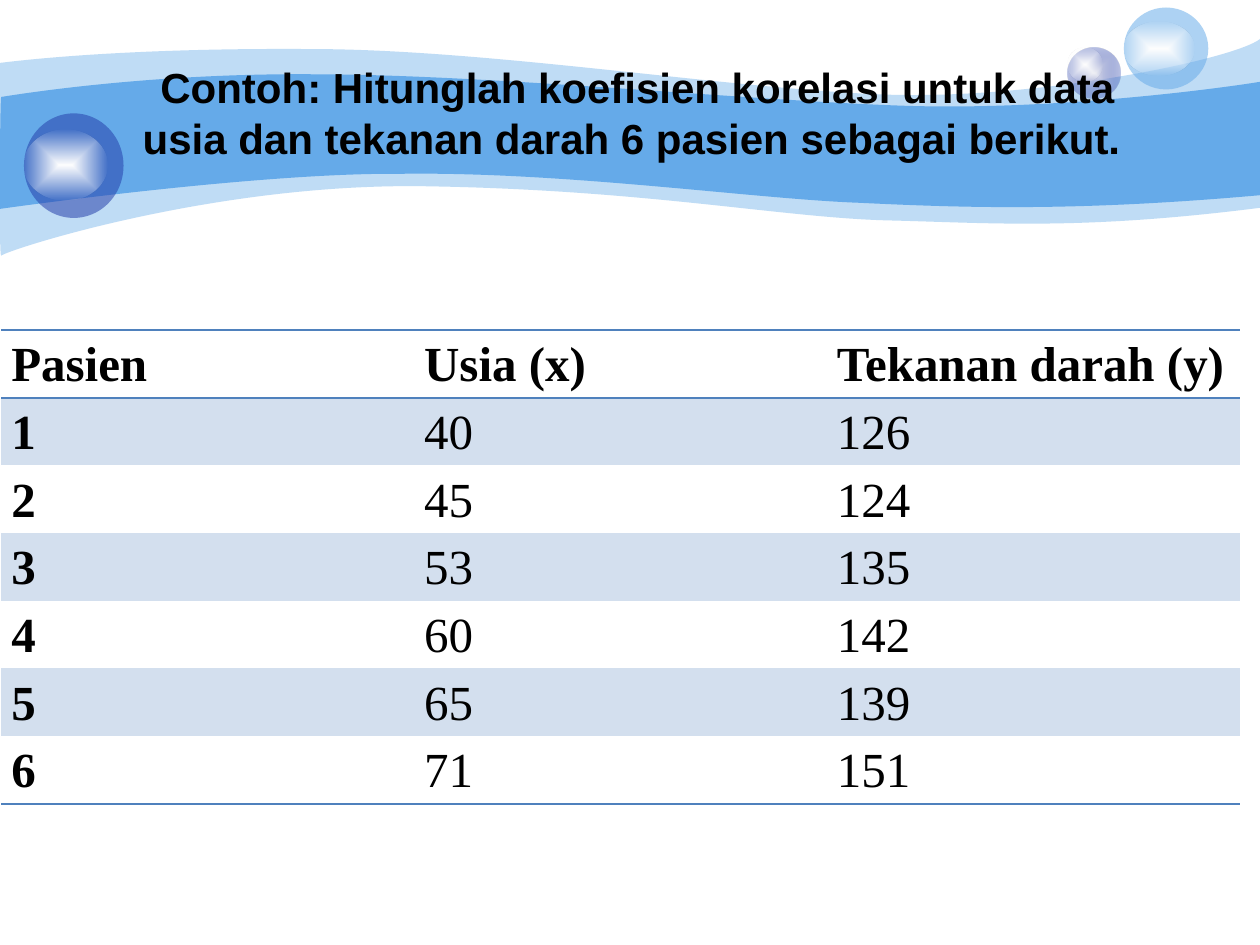
from dataclasses import dataclass

from lxml import etree
from pptx import Presentation, oxml
from pptx.dml.color import RGBColor
from pptx.enum import shapes, text
from pptx.oxml import ns
from pptx.util import Inches, Pt


@dataclass(frozen=True)
class Theme:
    """Colours, fonts and type sizes of the slide."""
    sky: str = "65AAE9"
    navy: str = "233DA9"
    mist: str = "E1E2ED"
    white: str = "FFFFFF"
    band: str = "D3DFEE"
    rule: str = "4F81BD"
    ink: str = "000000"
    head: str = "Arial"
    body: str = "Times New Roman"
    head_size: int = 24
    body_size: int = 28


T = Theme()
TITLE = "Contoh: Hitunglah koefisien korelasi untuk data usia dan tekanan darah 6 pasien sebagai berikut. "
ROWS = [
    ("Pasien", "Usia (x)", "Tekanan darah (y)"),
    (1, 40, 126), (2, 45, 124), (3, 53, 135),
    (4, 60, 142), (5, 65, 139), (6, 71, 151),
]
PALE = [
    (0, 0.5), (0.24, 0.47, 1.07, 0.38, 2.47, 0.39), (3.86, 0.39, 5.75, 0.7, 6.99, 0.75),
    (8.22, 0.8, 9.8, 0.47, 10, 0.31), (10, 1.65), (8.58, 1.83, 7.87, 1.77, 7.05, 1.75),
    (6.22, 1.73, 5.15, 1.51, 3.43, 1.48), (1.72, 1.44, 0.04, 1.99, 0.01, 2.03),
    (-0.01, 2.08, 0, 0.75, 0, 0.5),
]
DEEP = [
    (0.01, 0.77), (0.02, 0.77, 1.1, 0.58, 2.48, 0.59), (3.86, 0.59, 5.95, 0.8, 7.18, 0.84),
    (8.41, 0.88, 9.76, 0.69, 10, 0.65), (10, 1.55), (8.53, 1.68, 7.65, 1.65, 6.82, 1.61),
    (5.99, 1.58, 4.47, 1.36, 3.17, 1.38), (2.03, 1.37, -0.02, 1.66, -0.01, 1.66),
    (0, 1.66, 0, 0.77, 0.01, 0.77),
]


def tint(hue, alpha=100):
    """Return the XML of a colour with its opacity in percent."""
    return f'<a:srgbClr val="{hue}"><a:alpha val="{alpha * 1000}"/></a:srgbClr>'


def paint(shape, hue, alpha=100):
    """Fill a shape with one colour and drop its line and shadow."""
    shape.shadow.inherit = False
    shape.line.fill.background()
    shape.fill.solid()
    shape.fill.fore_color.rgb = RGBColor.from_string(hue)
    if alpha < 100:
        clr = shape._element.spPr.find(".//" + ns.qn("a:srgbClr"))
        clr.append(oxml.parse_xml(f'<a:alpha {ns.nsdecls("a")} val="{alpha * 1000}"/>'))


def glow(shape, core, rim, alpha):
    """Fill a shape with a gradient from its core to its rim."""
    paint(shape, core)
    old = shape._element.spPr.find(ns.qn("a:solidFill"))
    new = oxml.parse_xml(
        f'<a:gradFill {ns.nsdecls("a")} rotWithShape="1"><a:gsLst>'
        f'<a:gs pos="0">{tint(core)}</a:gs><a:gs pos="100000">{tint(rim, alpha)}</a:gs>'
        '</a:gsLst><a:path path="shape">'
        '<a:fillToRect l="50000" t="50000" r="50000" b="50000"/></a:path></a:gradFill>')
    old.getparent().replace(old, new)


def wave(slide, steps, alpha=100):
    """Draw one wave of the banner, joining each six-number step into a curve."""
    first, *rest = [(Inches(s[i]), Inches(s[i + 1])) for s in steps for i in range(0, len(s), 2)]
    form = slide.shapes.build_freeform(*first, scale=1.0)
    form.add_line_segments(rest, close=True)
    shape = form.convert_to_shape()
    lines = iter(shape._element.spPr.findall(".//" + ns.qn("a:lnTo")))
    for step in steps[1:]:
        line = next(lines)
        if len(step) == 6:
            bend = etree.Element(ns.qn("a:cubicBezTo"))
            line.addprevious(bend)
            for part in (line, next(lines), next(lines)):
                bend.append(part[0])
                part.getparent().remove(part)
    paint(shape, T.sky, alpha)


def oval(group, box):
    """Add an ellipse in the given box."""
    return group.shapes.add_shape(shapes.MSO_SHAPE.OVAL, *map(Inches, box))


def bubble(slide, box, shine, hue, alpha, core=None):
    """Draw a ball in its box with a shine on it."""
    group = slide.shapes.add_group_shape()
    ball = oval(group, box)
    if core:
        glow(ball, core, hue, alpha)
    else:
        paint(ball, hue, alpha)
    glow(oval(group, shine), T.white, T.white, 0)


def banner(slide):
    """Draw the waves and the bubbles."""
    wave(slide, PALE, 41)
    wave(slide, DEEP)
    bubble(slide, (8.47, 0.38, 0.42, 0.4), (8.47, 0.38, 0.28, 0.27), T.navy, 31, T.mist)
    bubble(slide, (8.92, 0.06, 0.67, 0.65), (8.92, 0.17, 0.56, 0.43), T.sky, 53)
    bubble(slide, (0.19, 0.9, 0.79, 0.83), (0.19, 1.03, 0.66, 0.56), T.navy, 53)


def style(para, face, size, bold):
    """Format the runs of a paragraph."""
    for run in para.runs:
        run.font.name = face
        run.font.size = Pt(size)
        run.font.bold = bold
        run.font.color.rgb = RGBColor.from_string(T.ink)


def title(slide, box):
    """Write the title, raised a little within its box."""
    frame = slide.shapes.add_textbox(*map(Inches, box)).text_frame
    frame.word_wrap = True
    frame.vertical_anchor = text.MSO_ANCHOR.MIDDLE
    frame.margin_bottom = Inches(0.45)
    frame.text = TITLE
    para = frame.paragraphs[0]
    para.alignment = text.PP_ALIGN.CENTER
    style(para, T.head, T.head_size, True)


def edge(cell, sides):
    """Rule the named sides of a cell and clear the others."""
    props = cell._tc.get_or_add_tcPr()
    for i, side in enumerate("LRTB"):
        fill = f"<a:solidFill>{tint(T.rule)}</a:solidFill>" if side in sides else "<a:noFill/>"
        props.insert(i, oxml.parse_xml(
            f'<a:ln{side} {ns.nsdecls("a")} w="12700">{fill}</a:ln{side}>'))


def table(slide, box):
    """Build the patient table with banded rows that grow to fit their text."""
    frame = slide.shapes.add_table(len(ROWS), len(ROWS[0]), *map(Inches, box))
    grid = frame.table
    grid.first_row = grid.horz_banding = False
    grid._tbl.tblPr.find(ns.qn("a:tableStyleId")).text = "{2D5ABB26-0587-4C30-8999-92F81FD0307C}"
    sides = {0: "TB", 1: "T", len(ROWS) - 1: "B"}
    for r, row in enumerate(ROWS):
        grid.rows[r].height = Inches(0.3)
        for c, value in enumerate(row):
            cell = grid.cell(r, c)
            cell.margin_left = cell.margin_right = Inches(0.08)
            cell.margin_top = cell.margin_bottom = 0
            cell.text_frame.text = str(value)
            para = cell.text_frame.paragraphs[0]
            para.alignment = text.PP_ALIGN.LEFT
            para.line_spacing = 1.15
            style(para, T.body, T.body_size, r == 0 or c == 0)
            if r % 2:
                cell.fill.solid()
                cell.fill.fore_color.rgb = RGBColor.from_string(T.band)
            else:
                cell.fill.background()
            edge(cell, sides.get(r, ""))
    frame.height = Inches(box[3])


def main():
    """Build and save the slide."""
    deck = Presentation()
    deck.slide_width, deck.slide_height = Inches(10), Inches(7.5)
    slide = deck.slides.add_slide(deck.slide_layouts[6])
    banner(slide)
    title(slide, (1.02, 0.78, 8.08, 0.62))
    table(slide, (0.01, 2.62, 9.83, 3.52))
    deck.save("out.pptx")


if __name__ == "__main__":
    main()
